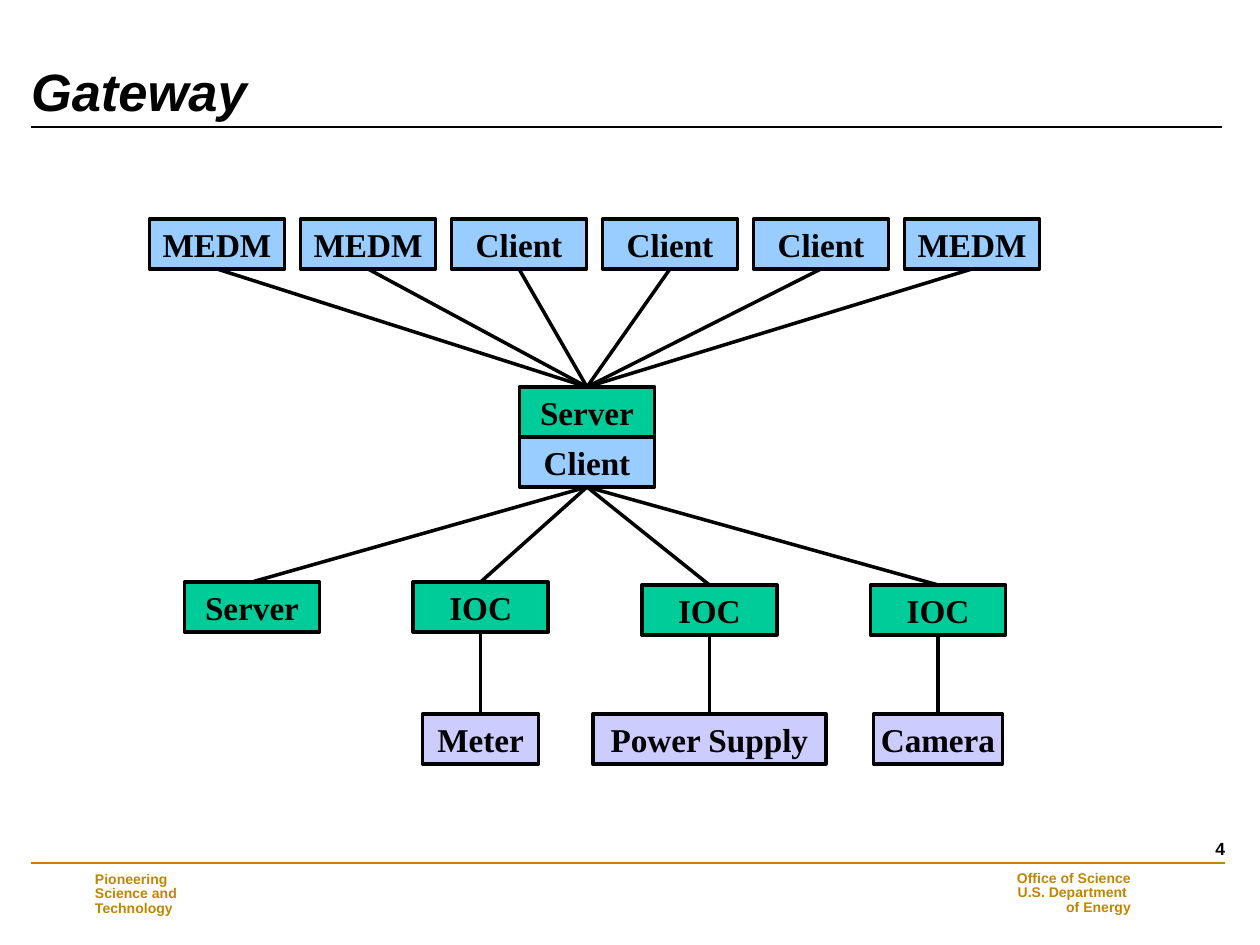
import pptx
import pptx.util
import pptx.dml.color
import pptx.enum.shapes
import pptx.enum.text
import pptx.oxml

RGB = pptx.dml.color.RGBColor
ALIGN = pptx.enum.text.PP_ALIGN
ANCHOR = pptx.enum.text.MSO_ANCHOR
Pt = pptx.util.Pt

BLACK = RGB(0x00, 0x00, 0x00)
GOLD = RGB(0xC2, 0x85, 0x00)
BLUE = RGB(0x99, 0xCC, 0xFF)
GREEN = RGB(0x00, 0xCC, 0x99)
LILAC = RGB(0xCC, 0xCC, 0xFF)

# Content
TITLE = "Gateway"
USERS = ["MEDM", "MEDM", "Client", "Client", "Client", "MEDM"]
GATE = [("Server", GREEN), ("Client", BLUE)]
# name, top, attached device, device width
HOSTS = [
    ("Server", 582, None, 0),
    ("IOC", 582, "Meter", 116),
    ("IOC", 585, "Power Supply", 233),
    ("IOC", 585, "Camera", 129),
]
MOTTO = ["Pioneering \vScience and\vTechnology"]
OFFICE = ["Office of Science", " U.S. Department ", "of Energy"]
PAGE = "4"

# Layout in px, 126 to the inch
WIDE, HIGH = 135, 50
USER_X, USER_Y, USER_GAP = 217, 219, 151
GATE_X, GATE_Y = 587, 387
HOST_X, HOST_GAP = 252, 228.67
UNIT_Y = 714


def px(num):
    return round(num * 914400 / 126)


def write(shape, lines, font="Arial", size=8, color=BLACK, italic=False,
          align=ALIGN.LEFT, anchor=ANCHOR.MIDDLE, space=1.0,
          inset=(13, 6, 13, 6), wrap=True):
    frame = shape.text_frame
    frame.auto_size = pptx.enum.text.MSO_AUTO_SIZE.NONE
    frame.word_wrap = wrap
    frame.vertical_anchor = anchor
    (frame.margin_left, frame.margin_top,
     frame.margin_right, frame.margin_bottom) = map(px, inset)
    frame.text = "\n".join(lines)
    for para in frame.paragraphs:
        para.alignment = align
        para.line_spacing = space
        para.space_before = para.space_after = Pt(0)
        for run in para.runs:
            run.font.name = font
            run.font.size = Pt(size)
            run.font.bold = True
            run.font.italic = italic
            run.font.color.rgb = color


def label(slide, area, lines, **style):
    write(slide.shapes.add_textbox(*map(px, area)), lines, **style)


def box(slide, name, mid, top, fill, wide=WIDE):
    area = (mid - wide / 2, top, wide, HIGH)
    shape = slide.shapes.add_shape(
        pptx.enum.shapes.MSO_SHAPE.RECTANGLE, *map(px, area))
    shape.shadow.inherit = False
    shape.fill.solid()
    shape.fill.fore_color.rgb = fill
    shape.line.color.rgb = BLACK
    shape.line.width = Pt(2)
    write(shape, [name], font="Times New Roman", size=19,
          align=ALIGN.CENTER, inset=(6, 4, 6, 4), wrap=False)
    return shape


def rule(slide, ends=(0, 0, 0, 0), color=BLACK, width=2):
    line = slide.shapes.add_connector(
        pptx.enum.shapes.MSO_CONNECTOR.STRAIGHT, *map(px, ends))
    line.line.color.rgb = color
    line.line.width = Pt(width)
    line._element.spPr.append(pptx.oxml.parse_xml(
        '<a:effectLst xmlns:a='
        '"http://schemas.openxmlformats.org/drawingml/2006/main"/>'))
    return line


def link(slide, upper, lower):
    line = rule(slide)
    line.begin_connect(upper, 2)
    line.end_connect(lower, 0)


def main():
    deck = pptx.Presentation()
    deck.slide_width, deck.slide_height = px(1260), px(945)
    slide = deck.slides.add_slide(deck.slide_layouts[5])

    # Title and rules
    title = slide.shapes.title
    title.left, title.top, title.width, title.height = map(
        px, (18, 66, 1207, 63))
    write(title, [TITLE], size=30, italic=True, anchor=ANCHOR.BOTTOM,
          space=0.9, inset=(13, 0, 13, 6))
    rule(slide, (31, 127, 1222, 127), width=1.5)
    rule(slide, (31, 863, 1225, 863), color=GOLD, width=1)

    # Footer
    label(slide, (82, 867, 184, 55), MOTTO, color=GOLD, space=0.85)
    label(slide, (988, 866, 156, 55), OFFICE, color=GOLD, space=0.85,
          align=ALIGN.RIGHT)
    label(slide, (1189, 832, 49, 48), [PAGE], size=10,
          align=ALIGN.RIGHT, anchor=ANCHOR.TOP)

    # Gateway: server side above client side
    front, back = [box(slide, name, GATE_X, GATE_Y + i * HIGH, fill)
                   for i, (name, fill) in enumerate(GATE)]

    # Users above the gateway
    for i, name in enumerate(USERS):
        user = box(slide, name, USER_X + i * USER_GAP, USER_Y, BLUE)
        link(slide, user, front)

    # Hosts below the gateway, with their devices
    for i, (name, top, unit, wide) in enumerate(HOSTS):
        mid = HOST_X + i * HOST_GAP
        host = box(slide, name, mid, top, GREEN)
        link(slide, back, host)
        if unit:
            link(slide, host, box(slide, unit, mid, UNIT_Y, LILAC, wide))

    deck.save("out.pptx")


if __name__ == "__main__":
    main()
